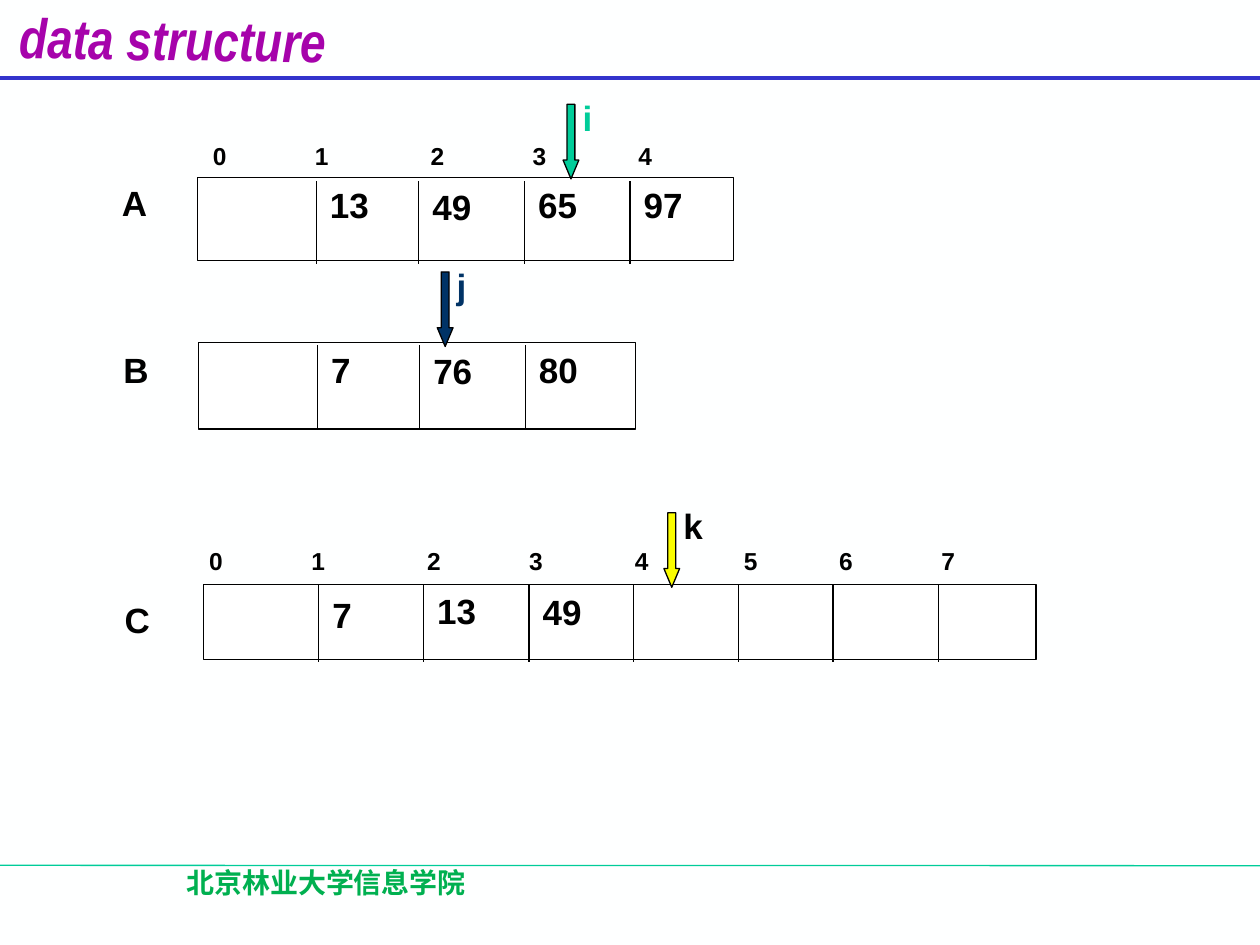
from dataclasses import dataclass

from lxml.etree import SubElement
from pptx import Presentation
from pptx.dml.color import RGBColor
from pptx.enum.shapes import MSO_CONNECTOR, MSO_SHAPE
from pptx.enum.text import PP_ALIGN
from pptx.oxml.ns import qn
from pptx.util import Pt


@dataclass(frozen=True)
class Theme:
    background: str = "FEFFFF"
    title: str = "A603AB"
    header_rule: str = "3333CC"
    footer_rule: str = "00CC99"
    footer: str = "00B050"
    ink: str = "000000"
    cell: str = "FFFFFF"
    pointer_i: str = "00CC99"
    pointer_j: str = "003366"
    pointer_k: str = "FAFD00"
    title_size: int = 32
    value_size: int = 20
    footer_size: int = 16
    index_size: int = 14
    latin: str = "Arial"
    narrow: str = "Arial Narrow"
    chinese: str = "Noto Sans CJK SC"


theme = Theme()
prs = Presentation()
prs.slide_width, prs.slide_height = Pt(720), Pt(540)
slide = prs.slides.add_slide(prs.slide_layouts[6])
slide.background.fill.solid()
slide.background.fill.fore_color.rgb = RGBColor.from_string(theme.background)


def add_label(shapes, text, left, top, width, height,
              size=theme.value_size, color=theme.ink, face=theme.latin):
    """Add a one-line bold text box and return it."""
    box = shapes.add_textbox(Pt(left), Pt(top), Pt(width), Pt(height))
    box.text_frame.word_wrap = True
    paragraph = box.text_frame.paragraphs[0]
    paragraph.text = text
    for run in paragraph.runs:
        run.font.size, run.font.bold, run.font.name = Pt(size), True, face
        run.font.color.rgb = RGBColor.from_string(color)
        SubElement(run.font._element, qn("a:ea")).set("typeface", face)
    return box


def add_rule(x1, y1, x2, y2, color=theme.ink, weight=0.75):
    rule = slide.shapes.add_connector(
        MSO_CONNECTOR.STRAIGHT, Pt(x1), Pt(y1), Pt(x2), Pt(y2))
    rule.line.color.rgb = RGBColor.from_string(color)
    rule.line.width = Pt(weight)
    SubElement(rule._element.spPr, qn("a:effectLst"))


# Header and footer
add_rule(0, 494.5, 720, 494.7, theme.footer_rule)
add_rule(0, 44.6, 720, 44.6, theme.header_rule, 2.25)
title = add_label(slide.shapes, "data structure", 4, -0.7, 210, 39,
                  theme.title_size, theme.title, theme.narrow)
title.rotation = 0.8
title.text_frame.paragraphs[0].runs[0].font.italic = True
footer = add_label(slide.shapes, "北京林业大学信息学院", 37.4, 491, 298, 36,
                   theme.footer_size, theme.footer, theme.chinese)
footer.text_frame.paragraphs[0].alignment = PP_ALIGN.CENTER

# Arrays: name, name position, frame, dividers, divider ends, (value, top)
arrays = [
    ("A", (62.6, 100), (113, 101.5, 306, 47.5),
     (180.7, 239.3, 299.7, 360), (103.5, 151),
     (("13", 101.5), ("49", 102.5), ("65", 101.5), ("97", 101.5))),
    ("B", (63.4, 195.8), (113.4, 195.8, 249.6, 49.5),
     (181.4, 239.8, 300.2), (197.3, 244.8),
     (("7", 195.3), ("76", 196.3), ("80", 195.3))),
    ("C", (64.1, 338.4), (116.2, 334, 475.8, 43),
     (182.2, 242, 302.3, 362.2, 422, 476, 536.3), (334, 378),
     (("7", 335.6), ("13", 333.4), ("49", 334))),
]
for name, name_at, frame, dividers, (start, end), values in arrays:
    cells = slide.shapes.add_shape(MSO_SHAPE.RECTANGLE, *map(Pt, frame))
    cells.shadow.inherit = False
    cells.fill.solid()
    cells.fill.fore_color.rgb = RGBColor.from_string(theme.cell)
    cells.line.color.rgb = RGBColor.from_string(theme.ink)
    cells.line.width = Pt(0.75)
    for x in dividers:
        add_rule(x, start, x, end)
    for x, (value, top) in zip(dividers, values):
        add_label(slide.shapes, value, x + 0.7, top, 48, 31.5)
    add_label(slide.shapes, name, *name_at, 48, 31.5)

# Index rows above A and C share the same tab stops
index_stops = (58.4, 124.5, 182.8, 243.2, 305.5, 360, 418.3)
for count, left, top, width in ((5, 114.5, 77.3, 306), (8, 112.5, 308.2, 479.5)):
    indices = add_label(slide.shapes, "\t".join(map(str, range(count))),
                        left, top, width, 24.5, theme.index_size)
    properties = indices.text_frame.paragraphs[0]._p.get_or_add_pPr()
    tabs = SubElement(properties, qn("a:tabLst"))
    for stop in index_stops[:count - 1]:
        SubElement(tabs, qn("a:tab"), pos=str(int(Pt(stop))), algn="l")

# Pointers into the arrays
pointers = [
    ("i", 321.8, 59.6, theme.pointer_i, theme.pointer_i),
    ("j", 249.9, 155.4, theme.pointer_j, theme.pointer_j),
    ("k", 379.4, 293, theme.pointer_k, theme.ink),
]
for name, left, top, arrow_color, label_color in pointers:
    pointer = slide.shapes.add_group_shape()
    arrow = pointer.shapes.add_shape(
        MSO_SHAPE.DOWN_ARROW, Pt(left), Pt(top), Pt(9), Pt(42.6))
    arrow.adjustments[0], arrow.adjustments[1] = 0.5, 1.19
    arrow.shadow.inherit = False
    arrow.fill.solid()
    arrow.fill.fore_color.rgb = RGBColor.from_string(arrow_color)
    arrow.line.color.rgb = RGBColor.from_string(theme.ink)
    arrow.line.width = Pt(0.75)
    add_label(pointer.shapes, name, left + 4, top - 8, 38, 31.5, color=label_color)

prs.save("out.pptx")
